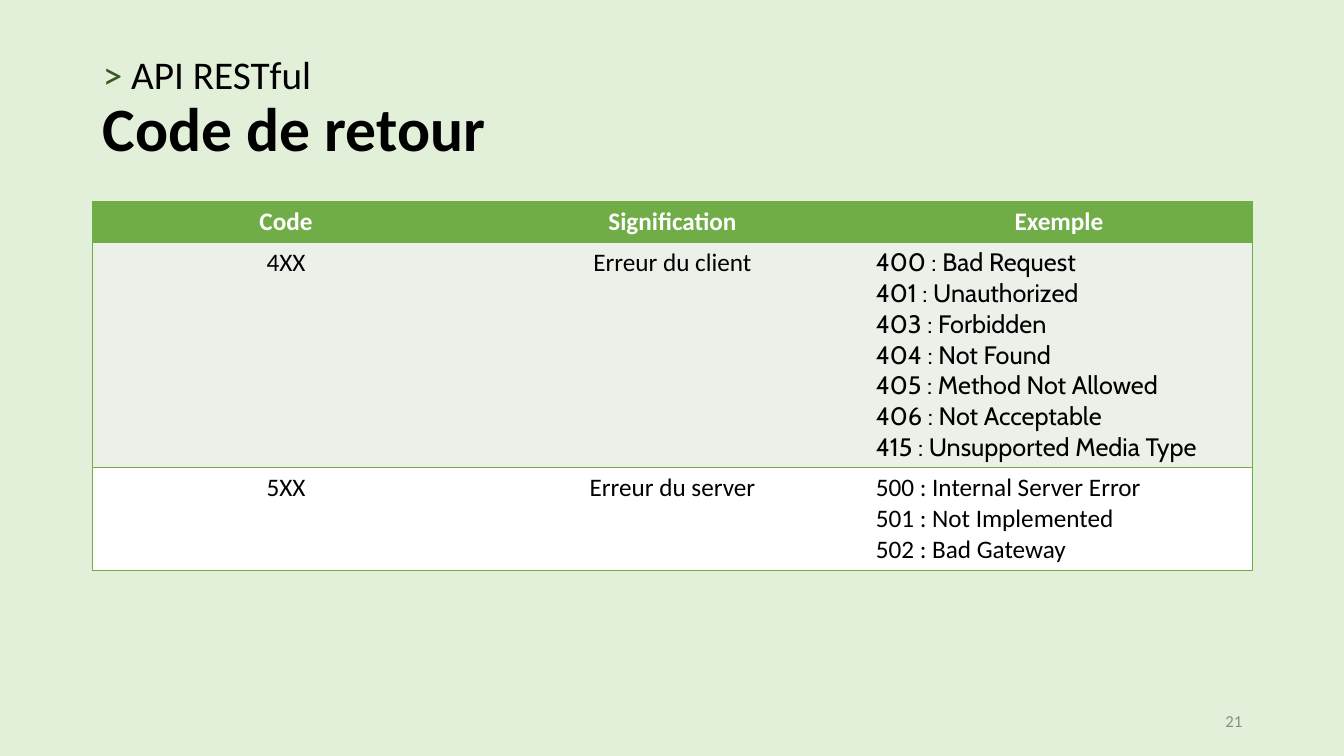
from lxml import etree
from pptx import Presentation
from pptx.dml.color import RGBColor
from pptx.enum.text import MSO_ANCHOR, PP_ALIGN
from pptx.oxml.ns import qn
from pptx.util import Inches, Pt

LEFT, CENTER, RIGHT = PP_ALIGN.LEFT, PP_ALIGN.CENTER, PP_ALIGN.RIGHT
MIDDLE = MSO_ANCHOR.MIDDLE
WIDTH, HEIGHT = 13.33, 7.5
MARGIN, CONTENT = 0.92, 11.5
GREEN = "70AD47"
CELL_PADDING, LINE_HEIGHT = 0.1, 0.3

HEADINGS = ["Code", "Signification", "Exemple"]
RETURN_CODES = [
    ("4XX", "Erreur du client", "Cabin", "EBF1E9", [
        "400 : Bad Request",
        "401 : Unauthorized",
        "403 : Forbidden",
        "404 : Not Found",
        "405 : Method Not Allowed",
        "406 : Not Acceptable",
        "415 : Unsupported Media Type",
    ]),
    ("5XX", "Erreur du server", "Calibri", "FFFFFF", [
        "500 : Internal Server Error",
        "501 : Not Implemented",
        "502 : Bad Gateway",
    ]),
]


def color(value):
    """Turn a hex string into a colour."""
    return RGBColor.from_string(value)


def write(paragraph, text, size=18, font="Calibri", ink="000000", bold=False, align=LEFT):
    """Append formatted text to a paragraph."""
    paragraph.alignment = align
    run = paragraph.add_run()
    run.text = text
    run.font.size = Pt(size)
    run.font.name = font
    run.font.bold = bold
    run.font.color.rgb = color(ink)


def place(shape, box):
    """Move a shape to a box given in inches."""
    shape.left, shape.top, shape.width, shape.height = map(Inches, box)


def add_border(cell, side, visible):
    """Draw or hide one side of a cell."""
    line = etree.SubElement(cell._tc.get_or_add_tcPr(), qn(f"a:ln{side}"), w=str(Pt(1)))
    if visible:
        fill = etree.SubElement(line, qn("a:solidFill"))
        etree.SubElement(fill, qn("a:srgbClr"), val=GREEN)
    else:
        etree.SubElement(line, qn("a:noFill"))


def fill_cell(cell, lines, fill, outer_left, outer_right, **text_format):
    """Write the lines of a cell and set its borders and fill."""
    for side, visible in zip("LRTB", (outer_left, outer_right, True, True)):
        add_border(cell, side, visible)
    cell.fill.solid()
    cell.fill.fore_color.rgb = color(fill)
    frame = cell.text_frame
    for index, line in enumerate(lines):
        paragraph = frame.add_paragraph() if index else frame.paragraphs[0]
        write(paragraph, line, **text_format)


def add_heading(slide, box):
    """Place the section name and the title of the slide."""
    title = slide.shapes.title
    place(title, box)
    title.text_frame.vertical_anchor = MIDDLE
    title.text_frame.word_wrap = True
    heading = title.text_frame.paragraphs[0]
    heading.line_spacing = 0.9
    write(heading, ">", size=28, ink="385723")
    write(heading, " API RESTful", size=28)
    heading.add_line_break()
    write(heading, "Code de retour", size=44, bold=True)


def add_code_table(slide, box):
    """Build the table of return codes, with rows as tall as their lines."""
    header = {"ink": "FFFFFF", "bold": True, "align": CENTER}
    rows = [(GREEN, [([heading], header) for heading in HEADINGS])]
    for code, meaning, font, fill, examples in RETURN_CODES:
        centered = {"align": CENTER}
        rows.append((fill, [([code], centered), ([meaning], centered),
                            (examples, {"font": font})]))
    last = len(HEADINGS) - 1
    table = slide.shapes.add_table(len(rows), len(HEADINGS), *map(Inches, box)).table
    for column in table.columns:
        column.width = Inches(box[2] / len(HEADINGS))
    for r, (fill, cells) in enumerate(rows):
        line_count = max(len(lines) for lines, _ in cells)
        table.rows[r].height = Inches(CELL_PADDING + LINE_HEIGHT * line_count)
        for c, (lines, text_format) in enumerate(cells):
            fill_cell(table.cell(r, c), lines, fill, c == 0, c == last, **text_format)


def add_page_number(slide, box):
    """Place the page number in the bottom right corner."""
    number = slide.shapes.add_textbox(*map(Inches, box)).text_frame
    number.word_wrap = True
    number.vertical_anchor = MIDDLE
    write(number.paragraphs[0], "21", size=12, ink="8C8C8C", align=RIGHT)


def main():
    """Build and save the slide."""
    deck = Presentation()
    deck.slide_width, deck.slide_height = Inches(WIDTH), Inches(HEIGHT)
    slide = deck.slides.add_slide(deck.slide_layouts[5])
    slide.background.fill.solid()
    slide.background.fill.fore_color.rgb = color("E2F0D9")
    add_heading(slide, (MARGIN, 0.37, CONTENT, 1.45))
    add_code_table(slide, (MARGIN, 2, CONTENT, 3.6))
    add_page_number(slide, (MARGIN + CONTENT - 3, 6.95, 3, 0.4))
    deck.save("out.pptx")


if __name__ == "__main__":
    main()
